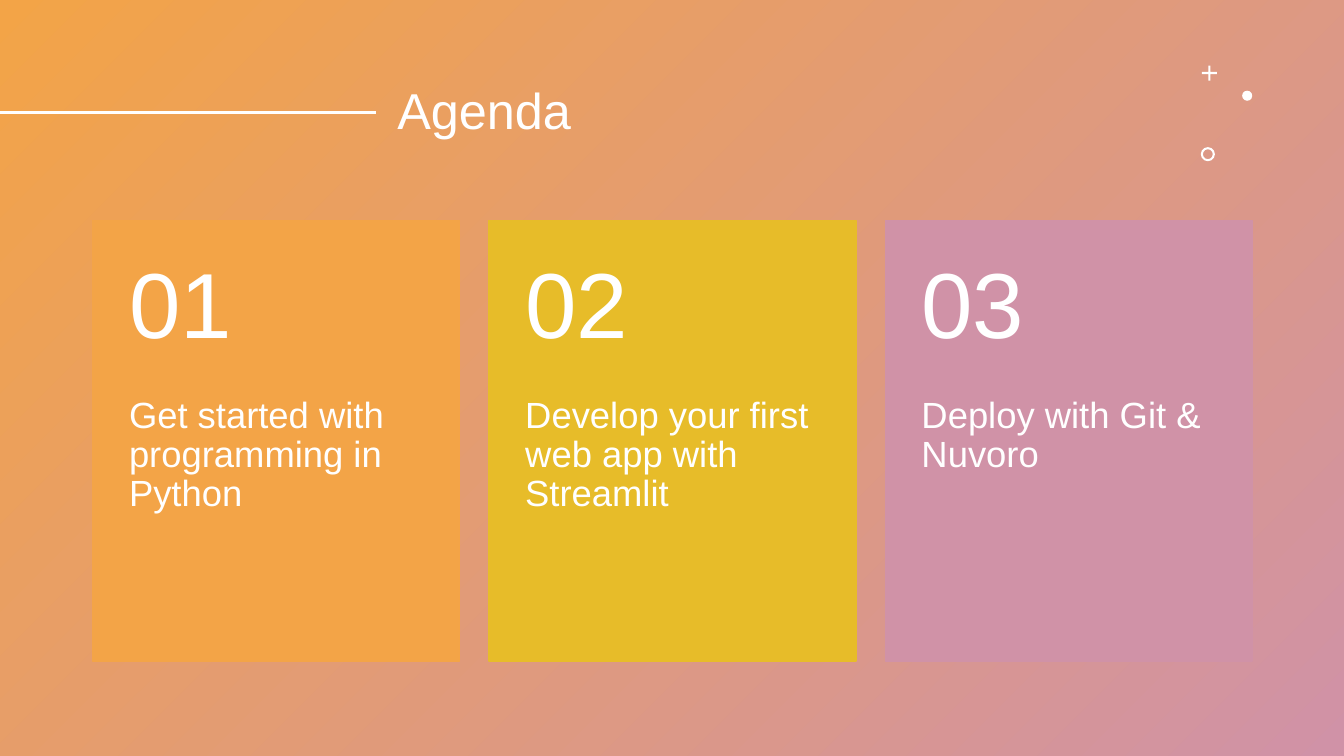
from lxml.etree import SubElement
from pptx import Presentation
from pptx.dml.color import RGBColor
from pptx.enum.shapes import MSO_CONNECTOR, MSO_SHAPE
from pptx.enum.text import MSO_ANCHOR, MSO_AUTO_SIZE, PP_ALIGN
from pptx.oxml.ns import qn
from pptx.util import Inches, Pt

WHITE = RGBColor(0xFF, 0xFF, 0xFF)
ORANGE = RGBColor(0xF3, 0xA4, 0x47)
YELLOW = RGBColor(0xE7, 0xBC, 0x29)
PINK = RGBColor(0xD0, 0x92, 0xA7)

SLIDE_WIDTH, SLIDE_HEIGHT = 13.33, 7.5
CARD_LEFT, CARD_TOP = 0.92, 2.19
CARD_WIDTH, CARD_HEIGHT = 3.64, 4.37
CARD_PITCH = 3.93
NUMBER_SHARE = 0.4
PADDING = 0.36

AGENDA = [
    ("Get started with programming in Python", ORANGE),
    ("Develop your first web app with Streamlit", YELLOW),
    ("Deploy with Git & Nuvoro", PINK),
]


def inches(*lengths):
    return [Inches(length) for length in lengths]


def add_filled(slide, preset, box, color):
    shape = slide.shapes.add_shape(preset, *inches(*box))
    shape.shadow.inherit = False
    shape.fill.solid()
    shape.fill.fore_color.rgb = color
    shape.line.fill.background()
    return shape


def write(frame, text, size, anchor):
    frame.text = text
    frame.word_wrap = True
    frame.auto_size = MSO_AUTO_SIZE.NONE
    frame.vertical_anchor = anchor
    paragraph = frame.paragraphs[0]
    paragraph.alignment = PP_ALIGN.LEFT
    paragraph.line_spacing = 0.9
    paragraph.font.name = "Arial"
    paragraph.font.size = Pt(size)
    paragraph.font.color.rgb = WHITE


def add_card_text(slide, box, text, size, anchor, top_inset, bottom_inset):
    frame = slide.shapes.add_textbox(*inches(*box)).text_frame
    write(frame, text, size, anchor)
    frame.margin_left = frame.margin_right = Inches(PADDING)
    frame.margin_top = Inches(top_inset)
    frame.margin_bottom = Inches(bottom_inset)


def add_card(slide, index, topic, color):
    left = CARD_LEFT + index * CARD_PITCH
    number_height = CARD_HEIGHT * NUMBER_SHARE
    card = add_filled(slide, MSO_SHAPE.RECTANGLE,
                      (left, CARD_TOP, CARD_WIDTH, CARD_HEIGHT), color)
    card.line.color.rgb = color
    card.line.width = Pt(1)
    add_card_text(slide, (left, CARD_TOP + number_height, CARD_WIDTH,
                          CARD_HEIGHT - number_height),
                  topic, 26, MSO_ANCHOR.TOP, 0, PADDING)
    add_card_text(slide, (left, CARD_TOP, CARD_WIDTH, number_height),
                  f"{index + 1:02}", 66, MSO_ANCHOR.MIDDLE,
                  PADDING / 2, PADDING / 2)


def add_background(slide):
    backdrop = add_filled(slide, MSO_SHAPE.RECTANGLE,
                          (0, 0, SLIDE_WIDTH, SLIDE_HEIGHT), ORANGE)
    backdrop.fill.gradient()
    backdrop.fill.gradient_angle = 315
    for stop, color in zip(backdrop.fill.gradient_stops, (ORANGE, PINK)):
        stop.color.rgb = color
    # The title placeholder stays in front of the backdrop.
    slide.shapes.title.element.addprevious(backdrop.element)


def add_title(slide):
    title = slide.shapes.title
    title.left, title.top, title.width, title.height = inches(
        3.84, 0.4, 7.83, 1.45)
    write(title.text_frame, "Agenda", 36, MSO_ANCHOR.MIDDLE)


def add_title_rule(slide):
    rule = slide.shapes.add_connector(MSO_CONNECTOR.STRAIGHT,
                                      *inches(0, 1.12, 3.73, 1.12))
    rule.line.color.rgb = WHITE
    rule.line.width = Pt(2)
    SubElement(rule.element.spPr, qn("a:effectLst"))


def add_ornaments(slide):
    plus = add_filled(slide, MSO_SHAPE.CROSS, (11.92, 0.65, 0.15, 0.15), WHITE)
    plus.adjustments[0] = 0.43
    add_filled(slide, MSO_SHAPE.OVAL, (12.32, 0.9, 0.1, 0.1), WHITE)
    ring = add_filled(slide, MSO_SHAPE.DONUT, (11.91, 1.46, 0.14, 0.14), WHITE)
    ring.adjustments[0] = 0.15


def main():
    presentation = Presentation()
    presentation.slide_width = Inches(SLIDE_WIDTH)
    presentation.slide_height = Inches(SLIDE_HEIGHT)
    title_only = presentation.slide_layouts[5]
    slide = presentation.slides.add_slide(title_only)
    add_background(slide)
    add_title(slide)
    add_title_rule(slide)
    add_ornaments(slide)
    for index, (topic, color) in enumerate(AGENDA):
        add_card(slide, index, topic, color)
    presentation.save("out.pptx")


if __name__ == "__main__":
    main()
